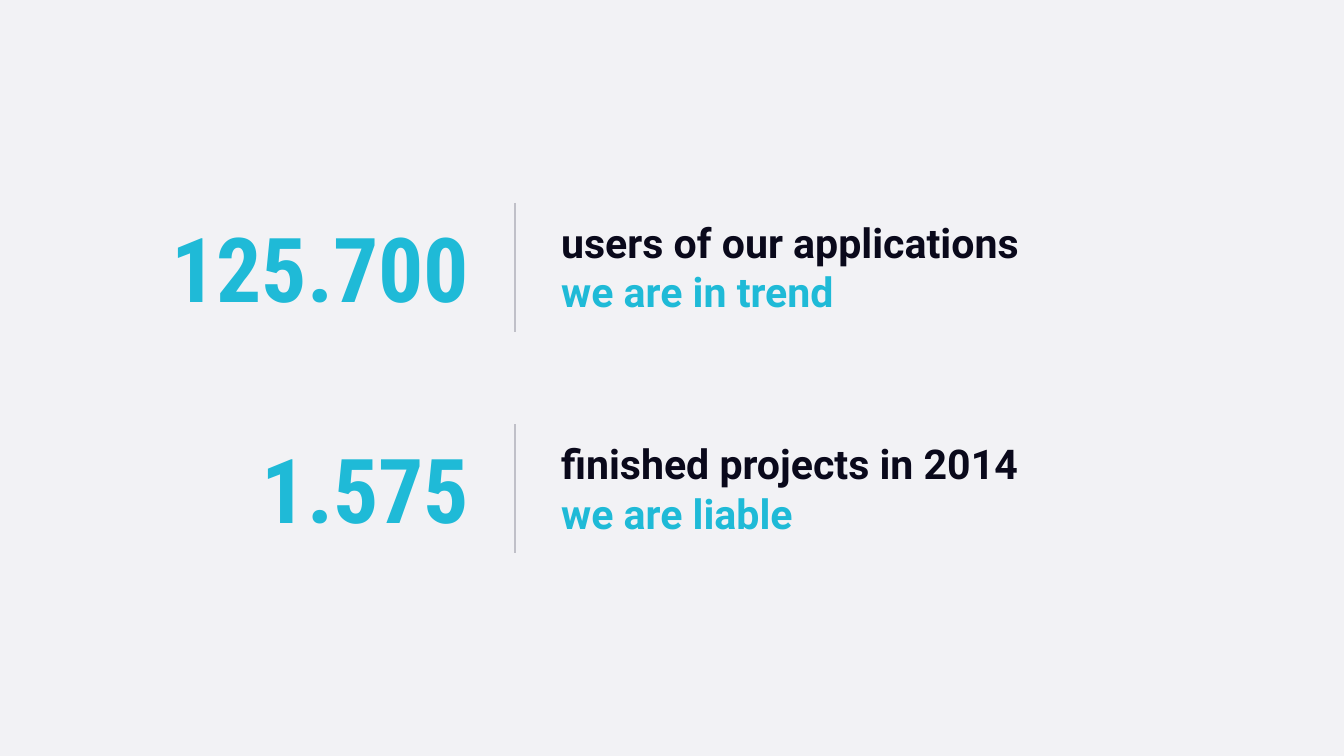
from lxml import etree
from pptx import Presentation
from pptx.dml.color import RGBColor
from pptx.enum.shapes import MSO_CONNECTOR
from pptx.enum.text import MSO_AUTO_SIZE, PP_ALIGN
from pptx.oxml.ns import qn
from pptx.util import Cm, Pt

STRAIGHT = MSO_CONNECTOR.STRAIGHT
LEFT, RIGHT = PP_ALIGN.LEFT, PP_ALIGN.RIGHT
FIT_SHAPE = MSO_AUTO_SIZE.SHAPE_TO_FIT_TEXT

COLORS = {"background": "F2F2F5", "ink": "0A091B", "accent": "1FBAD7", "rule": "C0C0C8"}

FACTS = [
    ("125.700", "users of our applications", "we are in trend"),
    ("1.575", "finished projects in 2014", "we are liable"),
]

# Lengths in centimetres
SLIDE_W, SLIDE_H = 50.8, 28.58
FIRST_CENTER, ROW_PITCH = 10.11, 8.36
NUMBER_X, NUMBER_W, NUMBER_H = 5.72, 12.27, 4.37
RULE_X, RULE_H = 19.48, 4.88
CAPTION_X, CAPTION_W, CAPTION_H = 20.96, 26.87, 4.01


def color(name):
    return RGBColor.from_string(COLORS[name])


def add_text(slide, lines, x, center, width, height, *, font, size, align=LEFT):
    """Add a bold text box centred on a height; lines are (text, colour) pairs."""
    box = slide.shapes.add_textbox(Cm(x), Cm(center - height / 2), Cm(width), Cm(height))
    frame = box.text_frame
    frame.word_wrap = True
    frame.auto_size = FIT_SHAPE
    for index, (text, color_name) in enumerate(lines):
        paragraph = frame.add_paragraph() if index else frame.paragraphs[0]
        paragraph.alignment = align
        run = paragraph.add_run()
        run.text = text
        run.font.name = font
        run.font.size = Pt(size)
        run.font.bold = True
        run.font.color.rgb = color(color_name)


def add_rule(slide, center):
    top, bottom = center - RULE_H / 2, center + RULE_H / 2
    rule = slide.shapes.add_connector(STRAIGHT, Cm(RULE_X), Cm(top), Cm(RULE_X), Cm(bottom))
    rule.line.color.rgb = color("rule")
    rule.line.width = Pt(2)
    etree.SubElement(rule._element.spPr, qn("a:effectLst"))


def main():
    deck = Presentation()
    deck.slide_width, deck.slide_height = Cm(SLIDE_W), Cm(SLIDE_H)
    slide = deck.slides.add_slide(deck.slide_layouts[6])
    slide.background.fill.solid()
    slide.background.fill.fore_color.rgb = color("background")

    for row, (number, label, claim) in enumerate(FACTS):
        center = FIRST_CENTER + row * ROW_PITCH
        add_text(slide, [(number, "accent")], NUMBER_X, center, NUMBER_W, NUMBER_H,
                 font="Roboto Condensed", size=96, align=RIGHT)
        add_rule(slide, center)
        add_text(slide, [(label, "ink"), (claim, "accent")], CAPTION_X, center,
                 CAPTION_W, CAPTION_H, font="Roboto", size=44)

    deck.save("out.pptx")


if __name__ == "__main__":
    main()
